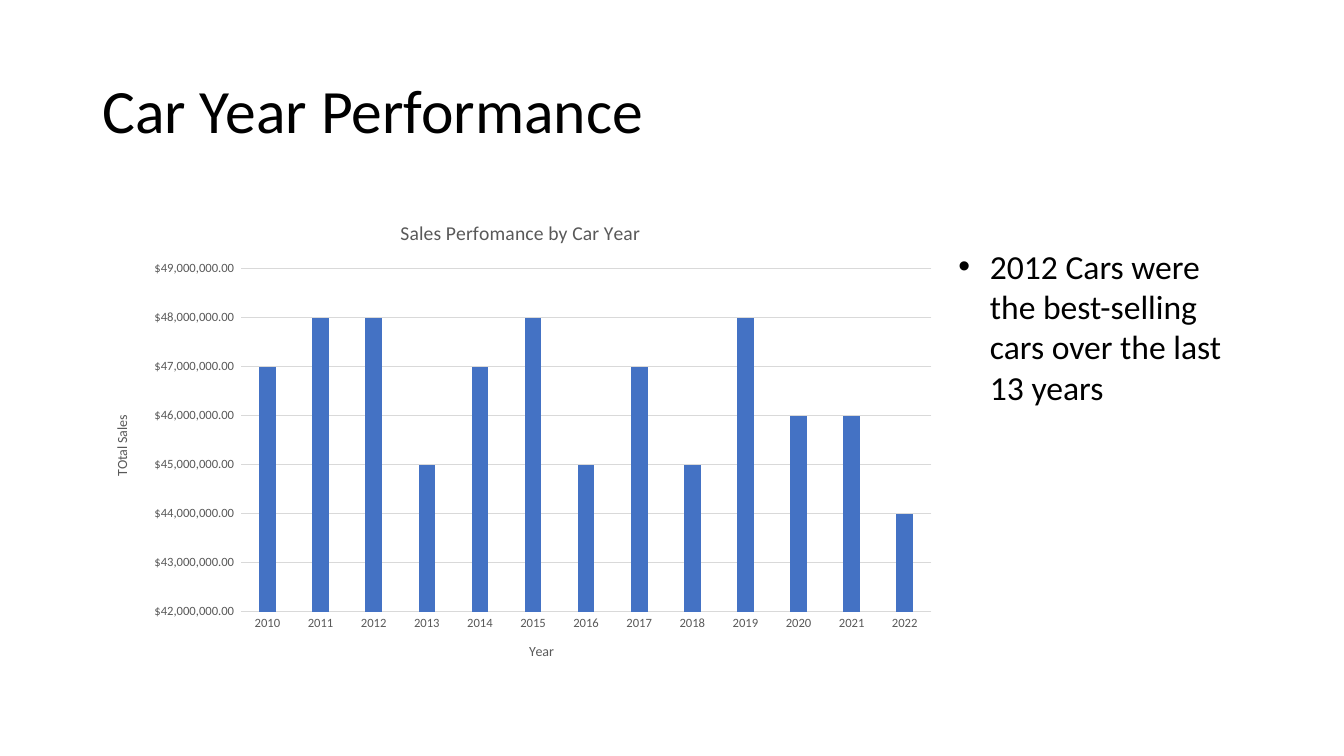
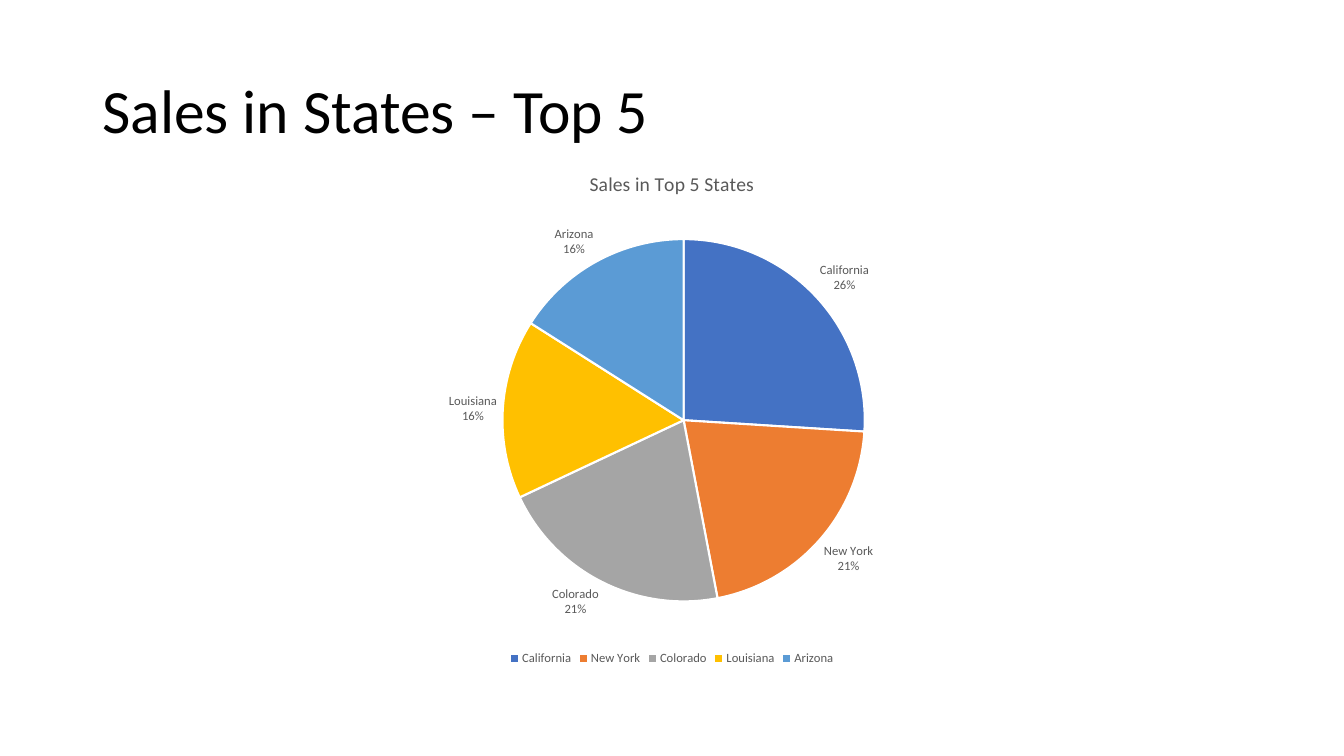
from lxml import etree
from pptx import Presentation
from pptx.chart.data import CategoryChartData
from pptx.dml.color import RGBColor
from pptx.enum.chart import XL_CHART_TYPE, XL_LABEL_POSITION, XL_LEGEND_POSITION, XL_TICK_MARK
from pptx.enum.text import MSO_ANCHOR
from pptx.oxml.ns import qn
from pptx.util import Pt

COLUMN = XL_CHART_TYPE.COLUMN_CLUSTERED
PIE = XL_CHART_TYPE.PIE
OUTSIDE = XL_LABEL_POSITION.OUTSIDE_END
BOTTOM = XL_LEGEND_POSITION.BOTTOM
NO_TICK = XL_TICK_MARK.NONE
MIDDLE = MSO_ANCHOR.MIDDLE

BLACK, WHITE, GREY, RULE = "000000", "FFFFFF", "595959", "D9D9D9"
ACCENTS = ["4472C4", "ED7D31", "A5A5A5", "FFC000", "5B9BD5"]
ACCOUNTING = r'_("$"* #,##0.00_);_("$"* \(#,##0.00\);_("$"* "-"??_);_(@_)'


def rgb(value):
    return RGBColor.from_string(value)


def assign(obj, values):
    for name, value in values.items():
        setattr(obj, name, value)


class Deck:
    face = "Calibri"
    left = 66

    def __init__(self):
        self.prs = Presentation()
        assign(self.prs, {"slide_width": Pt(960), "slide_height": Pt(540)})
        self.s = None

    def font(self, font, size, color=GREY):
        assign(font, {"name": self.face, "size": Pt(size), "bold": False})
        font.color.rgb = rgb(color)

    def line(self, line, color, width):
        line.color.rgb = rgb(color)
        line.width = Pt(width)

    def text(self, text, box, size):
        tf = self.s.shapes.add_textbox(*map(Pt, box)).text_frame
        tf.word_wrap = True
        p = tf.paragraphs[0]
        r = p.add_run()
        r.text = text
        self.font(r.font, size, BLACK)
        return tf, p

    def slide(self, title):
        self.s = self.prs.slides.add_slide(self.prs.slide_layouts[6])
        tf, p = self.text(title, (self.left, 28.75, 828, 104.4), 44)
        tf.vertical_anchor = MIDDLE
        p.line_spacing = 0.9

    def bullet(self, text, box):
        _, p = self.text(text, box, 24)
        pPr = p._p.get_or_add_pPr()
        pPr.set("marL", str(Pt(22.5)))
        pPr.set("indent", str(-Pt(22.5)))
        etree.SubElement(pPr, qn("a:buFont"), typeface="Arial")
        etree.SubElement(pPr, qn("a:buChar"), char="•")

    def heading(self, owner, text, size):
        tf = owner.text_frame
        tf.text = text
        self.font(tf.paragraphs[0].runs[0].font, size)

    def chart(self, kind, title, box, cats, vals):
        data = CategoryChartData()
        data.categories = cats
        data.add_series("Series 1", vals)
        chart = self.s.shapes.add_chart(kind, *map(Pt, box), data).chart
        self.font(chart.font, 10, BLACK)
        self.heading(chart.chart_title, title, 14)
        chart.chart_title.include_in_layout = False
        chart.has_legend = False
        return chart

    def axis(self, axis, title):
        assign(axis, {"major_tick_mark": NO_TICK, "minor_tick_mark": NO_TICK})
        self.font(axis.tick_labels.font, 9)
        self.heading(axis.axis_title, title, 10)

    def columns(self, title, box, cats, vals, axis_titles, scale):
        chart = self.chart(COLUMN, title, box, cats, vals)
        plot = chart.plots[0]
        assign(plot, {"gap_width": 219, "overlap": -27, "vary_by_categories": False})
        fill = plot.series[0].format.fill
        fill.solid()
        fill.fore_color.rgb = rgb(ACCENTS[0])
        cat, val = chart.category_axis, chart.value_axis
        for axis, name in zip((cat, val), axis_titles):
            self.axis(axis, name)
        self.line(cat.format.line, RULE, 0.75)
        assign(val, scale)
        val.format.line.fill.background()
        self.line(val.major_gridlines.format.line, RULE, 0.75)
        assign(val.tick_labels, {"number_format": ACCOUNTING, "number_format_is_linked": False})

    def pie(self, title, box, cats, vals):
        chart = self.chart(PIE, title, box, cats, vals)
        chart.has_legend = True
        assign(chart.legend, {"position": BOTTOM, "include_in_layout": False})
        self.font(chart.legend.font, 9)
        chart.plots[0].vary_by_categories = True
        series = chart.plots[0].series[0]
        for i, color in enumerate(ACCENTS):
            fmt = series.points[i].format
            fmt.fill.solid()
            fmt.fill.fore_color.rgb = rgb(color)
            self.line(fmt.line, WHITE, 1.5)
        labels = series.data_labels
        assign(labels, {
            "show_value": False, "show_category_name": True, "show_percentage": True,
            "position": OUTSIDE, "number_format": "0%", "number_format_is_linked": False,
        })
        self.font(labels.font, 9)
        separator = etree.Element(qn("c:separator"))
        separator.text = "\n"
        labels._element.find(qn("c:showBubbleSize")).addnext(separator)


def main():
    deck = Deck()

    deck.slide("Car Year Performance")
    millions = [47, 48, 48, 45, 47, 48, 45, 47, 45, 48, 46, 46, 44]
    deck.columns(
        "Sales Perfomance by Car Year", (deck.left, 143.5, 611.5, 342.7),
        [str(year) for year in range(2010, 2023)],
        [m * 1_000_000 for m in millions],
        ("Year", "TOtal Sales"),
        {"minimum_scale": 42_000_000, "maximum_scale": 49_000_000, "major_unit": 1_000_000},
    )
    deck.bullet("2012 Cars were the best-selling cars over the last 13 years",
                (677.5, 172, 204.5, 124))

    deck.slide("Sales in States – Top 5")
    deck.pie("Sales in Top 5 States", (deck.left, 107.5, 828, 371),
             ["California", "New York", "Colorado", "Louisiana", "Arizona"],
             [26, 21, 21, 16, 16])

    deck.prs.save("out.pptx")


if __name__ == "__main__":
    main()
